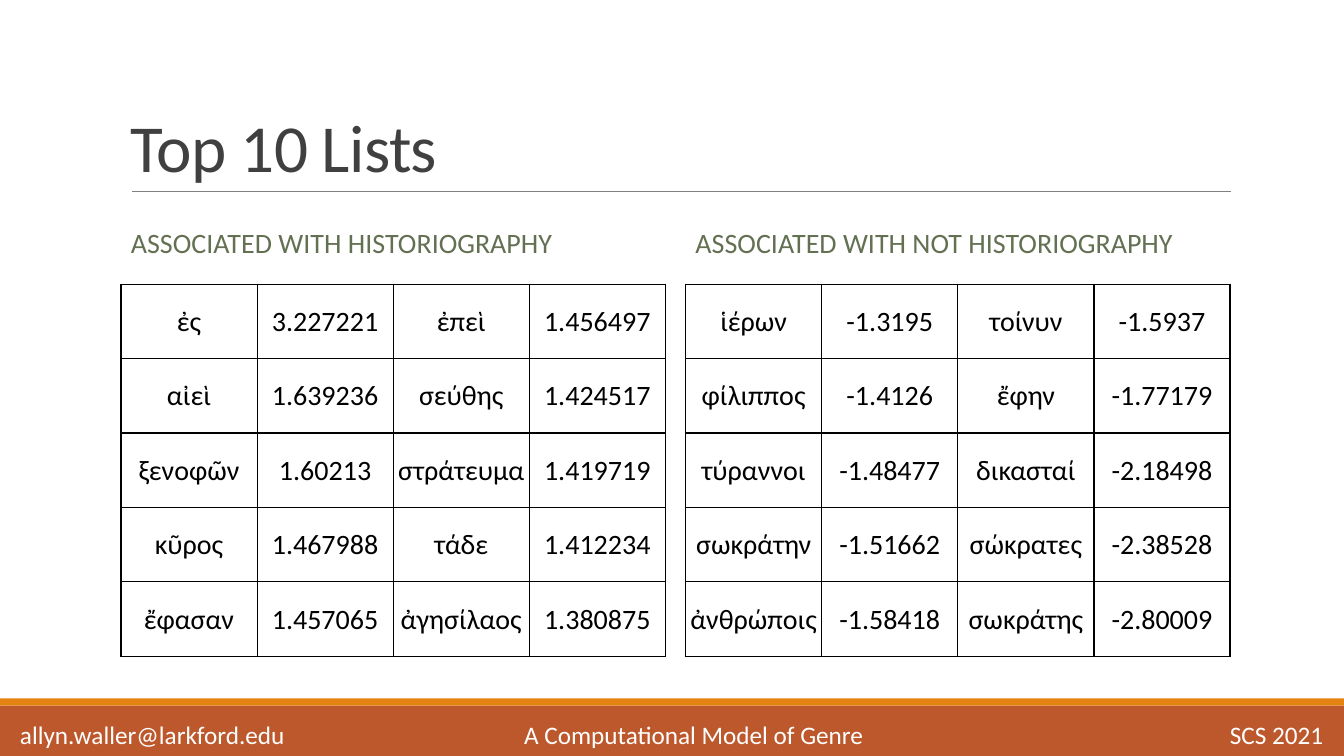
from lxml import etree
from pptx import Presentation
from pptx.dml.color import RGBColor
from pptx.enum.shapes import MSO_CONNECTOR, MSO_SHAPE
from pptx.enum.text import MSO_ANCHOR, PP_ALIGN
from pptx.oxml.ns import qn
from pptx.util import Inches, Pt

RECTANGLE = MSO_SHAPE.RECTANGLE
STRAIGHT = MSO_CONNECTOR.STRAIGHT
TOP, MIDDLE, BOTTOM = MSO_ANCHOR.TOP, MSO_ANCHOR.MIDDLE, MSO_ANCHOR.BOTTOM
CENTER = PP_ALIGN.CENTER

FONT = "Calibri"
COLORS = {
    "footer": "BD582C", "stripe": "E48312", "rule": "808080",
    "title": "404040", "heading": "637052", "cell": "000000", "light": "FFFFFF",
}

WIDTH, HEIGHT = 13.33, 7.5
MARGIN, PANEL_WIDTH, GAP = 1.2, 5.4, 0.2
HEADING_TOP, HEADING_HEIGHT = 2.02, 0.81
TABLE_TOP, TABLE_HEIGHT = 2.82, 3.69
FOOTER_TOP, STRIPE_HEIGHT = 7, 0.07

FOOTER_PARTS = ["allyn.waller@larkford.edu", "A Computational Model of Genre", "SCS 2021"]
FOOTER_STOPS = [5, 12]

PANELS = [
    ("ASSOCIATED WITH HISTORIOGRAPHY", [
        ("ἐς", "3.227221", "ἐπεὶ", "1.456497"),
        ("αἰεὶ", "1.639236", "σεύθης", "1.424517"),
        ("ξενοφῶν", "1.60213", "στράτευμα", "1.419719"),
        ("κῦρος", "1.467988", "τάδε", "1.412234"),
        ("ἔφασαν", "1.457065", "ἀγησίλαος", "1.380875"),
    ]),
    ("ASSOCIATED WITH NOT HISTORIOGRAPHY", [
        ("ἱέρων", "-1.3195", "τοίνυν", "-1.5937"),
        ("φίλιππος", "-1.4126", "ἔφην", "-1.77179"),
        ("τύραννοι", "-1.48477", "δικασταί", "-2.18498"),
        ("σωκράτην", "-1.51662", "σώκρατες", "-2.38528"),
        ("ἀνθρώποις", "-1.58418", "σωκράτης", "-2.80009"),
    ]),
]


def rgb(name):
    return RGBColor.from_string(COLORS[name])


def style_text(para, size, color):
    for span in para.runs:
        span.font.name = FONT
        span.font.size = Pt(size)
        span.font.color.rgb = rgb(color)


def add_band(slide, top, height, color):
    band = slide.shapes.add_shape(RECTANGLE, 0, Inches(top), Inches(WIDTH), Inches(height))
    band.shadow.inherit = False
    band.fill.solid()
    band.fill.fore_color.rgb = rgb(color)
    band.line.fill.background()


def add_rule(slide, left, right, top):
    rule = slide.shapes.add_connector(
        STRAIGHT, Inches(left), Inches(top), Inches(right), Inches(top))
    rule.line.color.rgb = rgb("rule")
    rule.line.width = Pt(0.5)
    etree.SubElement(rule._element.spPr, qn("a:effectLst"))


def add_text(slide, area, text, size, color, anchor):
    """Add a one-paragraph text box and return its paragraph."""
    box = slide.shapes.add_textbox(*[Inches(length) for length in area])
    frame = box.text_frame
    frame.word_wrap = True
    frame.vertical_anchor = anchor
    frame.text = text
    para = frame.paragraphs[0]
    style_text(para, size, color)
    return para


def add_title(slide, text):
    para = add_text(slide, (MARGIN, 0.31, 11, 1.59), text, 48, "title", BOTTOM)
    para.line_spacing = 0.85
    para.runs[0].font._element.set("spc", "-50")


def add_heading(slide, left, text):
    area = (left, HEADING_TOP, PANEL_WIDTH, HEADING_HEIGHT)
    para = add_text(slide, area, text, 20, "heading", MIDDLE)
    para.line_spacing = 0.9
    para.space_before = Pt(12)
    para.space_after = Pt(2)


def add_borders(cell):
    properties = cell._tc.get_or_add_tcPr()
    for index, side in enumerate(("a:lnL", "a:lnR", "a:lnT", "a:lnB")):
        line = etree.Element(qn(side), w=str(Pt(1)))
        fill = etree.SubElement(line, qn("a:solidFill"))
        etree.SubElement(fill, qn("a:srgbClr"), val=COLORS["cell"])
        properties.insert(index, line)


def fill_cell(cell, text):
    cell.margin_left = cell.margin_right = cell.margin_top = Inches(0.01)
    cell.margin_bottom = 0
    cell.vertical_anchor = MIDDLE
    cell.fill.background()
    add_borders(cell)
    para = cell.text_frame.paragraphs[0]
    para.text = text
    para.alignment = CENTER
    style_text(para, 20, "cell")


def add_word_table(slide, left, rows):
    table = slide.shapes.add_table(
        len(rows), len(rows[0]), Inches(left), Inches(TABLE_TOP),
        Inches(PANEL_WIDTH), Inches(TABLE_HEIGHT)).table
    table.first_row = table.horz_banding = False
    for row, texts in enumerate(rows):
        for column, text in enumerate(texts):
            fill_cell(table.cell(row, column), text)


def add_footer(slide):
    area = (0.1, 7.09, WIDTH - 0.1, 0.41)
    para = add_text(slide, area, "\t".join(FOOTER_PARTS), 18, "light", TOP)
    stops = etree.SubElement(para._p.get_or_add_pPr(), qn("a:tabLst"))
    for stop in FOOTER_STOPS:
        etree.SubElement(stops, qn("a:tab"), pos=str(Inches(stop)), algn="l")


def main():
    deck = Presentation()
    deck.slide_width, deck.slide_height = Inches(WIDTH), Inches(HEIGHT)
    slide = deck.slides.add_slide(deck.slide_layouts[6])
    add_band(slide, FOOTER_TOP, HEIGHT - FOOTER_TOP, "footer")
    add_band(slide, FOOTER_TOP - STRIPE_HEIGHT, STRIPE_HEIGHT, "stripe")
    add_rule(slide, 1.31, 12.21, 1.9)
    add_title(slide, "Top 10 Lists")
    for index, (heading, rows) in enumerate(PANELS):
        left = MARGIN + index * (PANEL_WIDTH + GAP)
        add_heading(slide, left, heading)
        add_word_table(slide, left, rows)
    add_footer(slide)
    deck.save("out.pptx")


if __name__ == "__main__":
    main()
